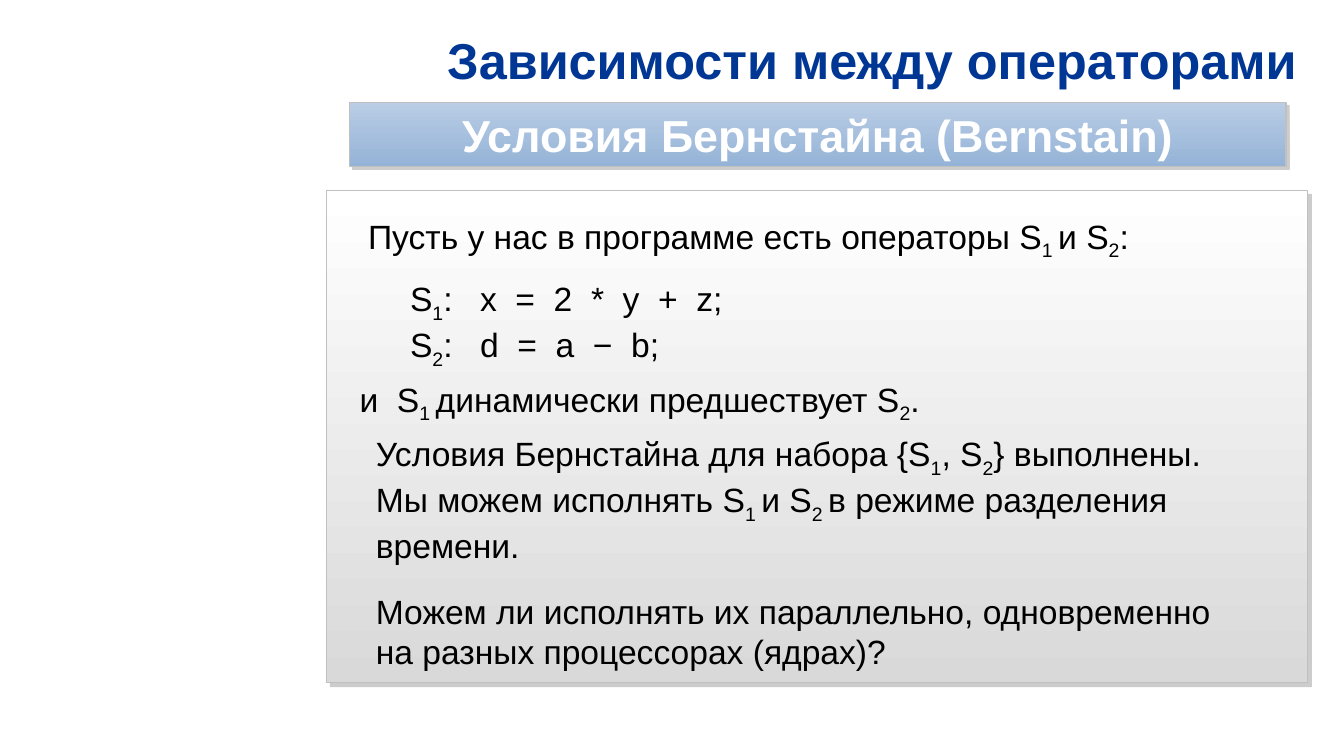
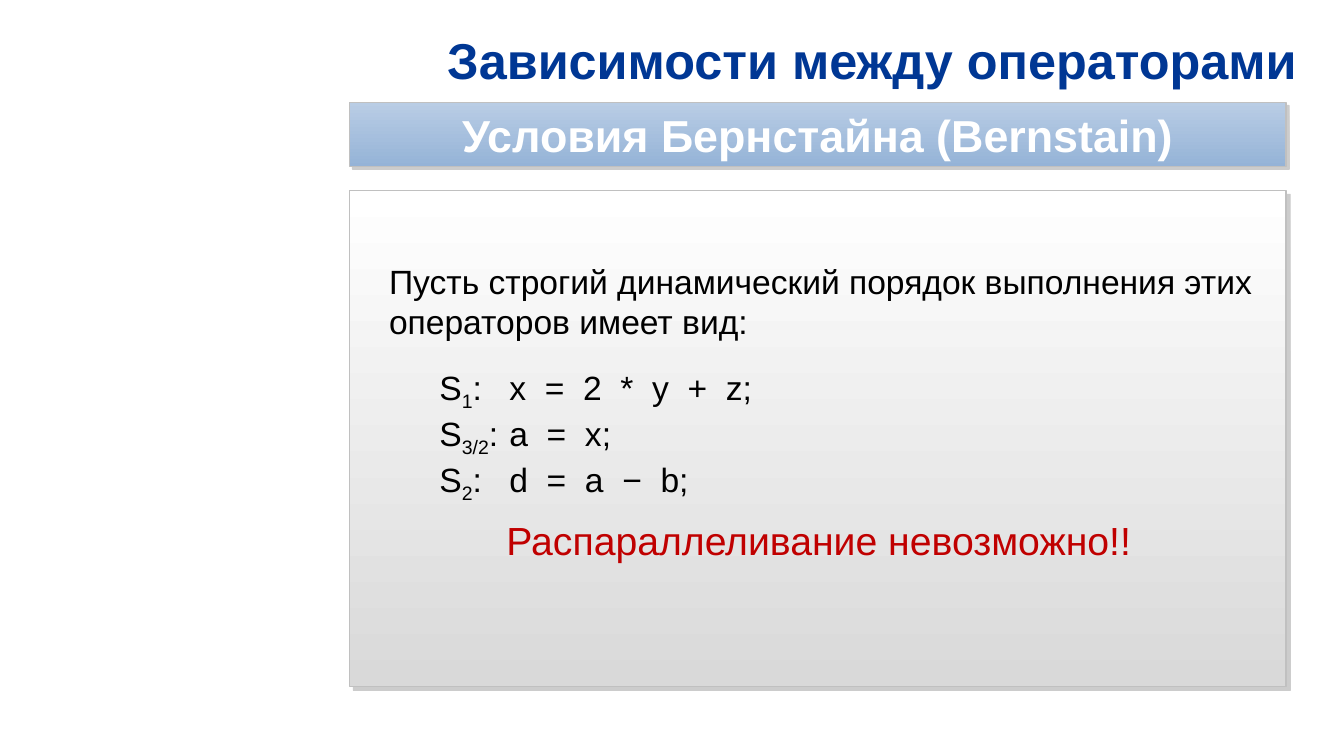
"""Build two slides on Bernstein's conditions for program statements."""
from lxml.etree import SubElement
from pptx import Presentation
from pptx.dml.color import RGBColor
from pptx.enum.shapes import MSO_SHAPE
from pptx.enum.text import MSO_ANCHOR, MSO_AUTO_SIZE, PP_ALIGN
from pptx.oxml.ns import qn
from pptx.util import Pt

NAVY = RGBColor(0x00, 0x37, 0x94)
BLACK = RGBColor(0x00, 0x00, 0x00)
WHITE = RGBColor(0xFF, 0xFF, 0xFF)
RED = RGBColor(0xC0, 0x00, 0x00)
SILVER = RGBColor(0xC0, 0xC0, 0xC0)
GRAY = RGBColor(0xD9, 0xD9, 0xD9)
SKY = RGBColor(0xB9, 0xCD, 0xE5)
BLUE = RGBColor(0x95, 0xB3, 0xD7)

FONT = "Arial"
TITLE = "Зависимости между операторами"
BANNER = "Условия Бернстайна (Bernstain)"
TITLE_BOX = (231.1, 16.6, 702.7, 51.8)
BANNER_BOX = (249.8, 73.4, 668.9, 45.4)

PLAIN = {}
CODE = {"left": 86, "first": -50}
S1 = "S~1~:\tx  =  2  *  y  +  z;"
S2 = "S~2~:\td  =  a  −  b;"

SLIDES = [
    {
        "panel": (233.3, 136.1, 700.6, 351.4),
        "texts": [
            {"box": (249.8, 150.5, 666, 144), "lines": [
                ("Пусть у нас в программе есть операторы S~1 ~и S~2~:", {"first": 6}),
                (S1, {**CODE, "before": 12}),
                (S2, CODE),
                ("и  S~1 ~динамически предшествует S~2~.", {"before": 6}),
            ]},
            {"box": (261.4, 306, 632.2, 172.8), "lines": [
                ("Условия Бернстайна для набора {S~1~, S~2~} выполнены. "
                 "Мы можем исполнять S~1 ~и S~2 ~в режиме разделения времени.",
                 {"after": 18}),
                ("Можем ли исполнять их параллельно, одновременно "
                 "на разных процессорах (ядрах)?", PLAIN),
            ]},
        ],
    },
    {
        "panel": (249.8, 136.1, 668.9, 354.2),
        "texts": [
            {"box": (249.8, 182.9, 666, 170.6), "inset": 28.1, "lines": [
                ("Пусть строгий динамический порядок выполнения этих "
                 "операторов имеет вид:", {"after": 18}),
                (S1, CODE),
                ("S~3/2~:\ta  =  x;", CODE),
                (S2, CODE),
            ]},
            {"box": (268.6, 365, 632.2, 41), "size": 28, "color": RED,
             "align": PP_ALIGN.CENTER,
             "lines": [("Распараллеливание невозможно!!", PLAIN)]},
        ],
    },
]


def write(p, text, size, color, bold=False, align=PP_ALIGN.LEFT):
    """Fill a paragraph; text between tildes becomes subscript."""
    p.alignment = align
    for i, part in enumerate(text.split("~")):
        if not part:
            continue
        r = p.add_run()
        r.text = part
        r.font.name, r.font.size, r.font.bold = FONT, Pt(size), bold
        r.font.color.rgb = color
        if i % 2:
            r.font._element.set("baseline", "-25000")


def add_panel(s, box, top, bottom, distance):
    """Add a gradient rectangle with a hard shadow."""
    sp = s.shapes.add_shape(MSO_SHAPE.RECTANGLE, *map(Pt, box))
    sp.fill.gradient()
    sp.fill.gradient_angle = 270
    for stop, color, position in zip(sp.fill.gradient_stops, (top, bottom), (0, 1)):
        stop.color.rgb = color
        stop.position = position
    sp.line.color.rgb = SILVER
    sp.line.width = Pt(1)
    sp.shadow.inherit = False
    effects = sp._element.spPr.find(qn("a:effectLst"))
    shadow = SubElement(effects, qn("a:outerShdw"), blurRad="0",
                        dist=str(Pt(distance)), dir="2700000", algn="tl", rotWithShape="0")
    color = SubElement(shadow, qn("a:srgbClr"), val="808080")
    SubElement(color, qn("a:alpha"), val="40000")
    return sp


def add_text(s, box, lines, size=24, color=BLACK, align=PP_ALIGN.LEFT, inset=7.2):
    """Add a wrapped text box with indents and spacing per paragraph."""
    tf = s.shapes.add_textbox(*map(Pt, box)).text_frame
    tf.word_wrap = True
    tf.margin_left = Pt(inset)
    for i, (text, style) in enumerate(lines):
        p = tf.add_paragraph() if i else tf.paragraphs[0]
        write(p, text, size, color, align=align)
        p.space_before = Pt(style.get("before", 0))
        p.space_after = Pt(style.get("after", 0))
        pPr = p._p.get_or_add_pPr()
        pPr.set("marL", str(Pt(style.get("left", 0))))
        pPr.set("indent", str(Pt(style.get("first", 0))))


def add_title(s):
    """Place and format the title placeholder."""
    title = s.shapes.title
    title.left, title.top, title.width, title.height = map(Pt, TITLE_BOX)
    tf = title.text_frame
    tf.auto_size = MSO_AUTO_SIZE.NONE
    tf.vertical_anchor = MSO_ANCHOR.MIDDLE
    write(tf.paragraphs[0], TITLE, 36, NAVY, True, PP_ALIGN.RIGHT)


def add_banner(s):
    """Add the blue band under the title."""
    tf = add_panel(s, BANNER_BOX, SKY, BLUE, 3).text_frame
    tf.vertical_anchor = MSO_ANCHOR.MIDDLE
    tf.margin_left = tf.margin_right = Pt(17)
    tf.margin_top = tf.margin_bottom = Pt(3)
    write(tf.paragraphs[0], BANNER, 32, WHITE, True, PP_ALIGN.CENTER)


def main():
    """Build and save the presentation."""
    prs = Presentation()
    prs.slide_width, prs.slide_height = Pt(960), Pt(540)
    for content in SLIDES:
        s = prs.slides.add_slide(prs.slide_layouts[5])
        add_title(s)
        add_panel(s, content["panel"], WHITE, GRAY, 4)
        add_banner(s)
        for text in content["texts"]:
            add_text(s, **text)
    prs.save("out.pptx")


if __name__ == "__main__":
    main()
